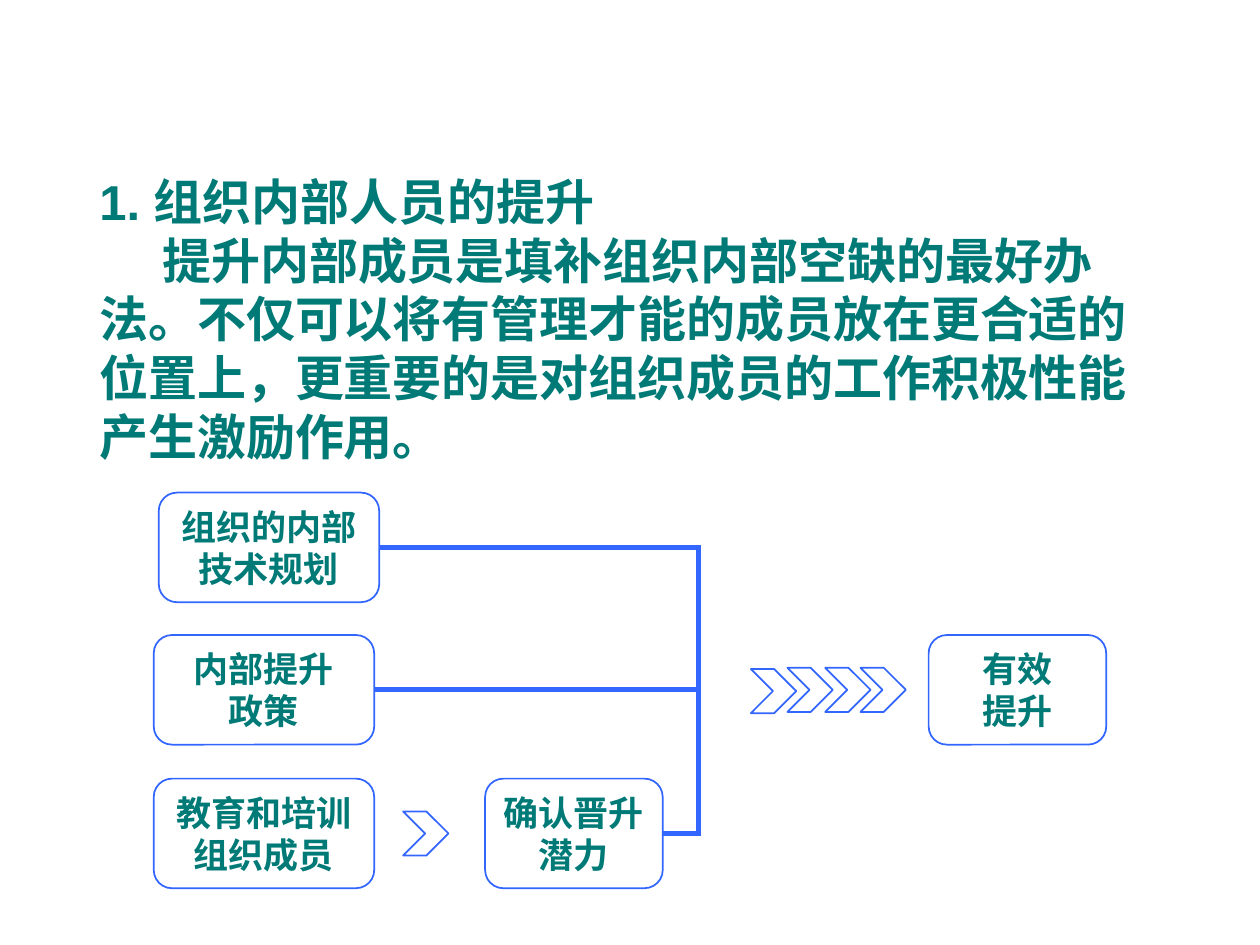
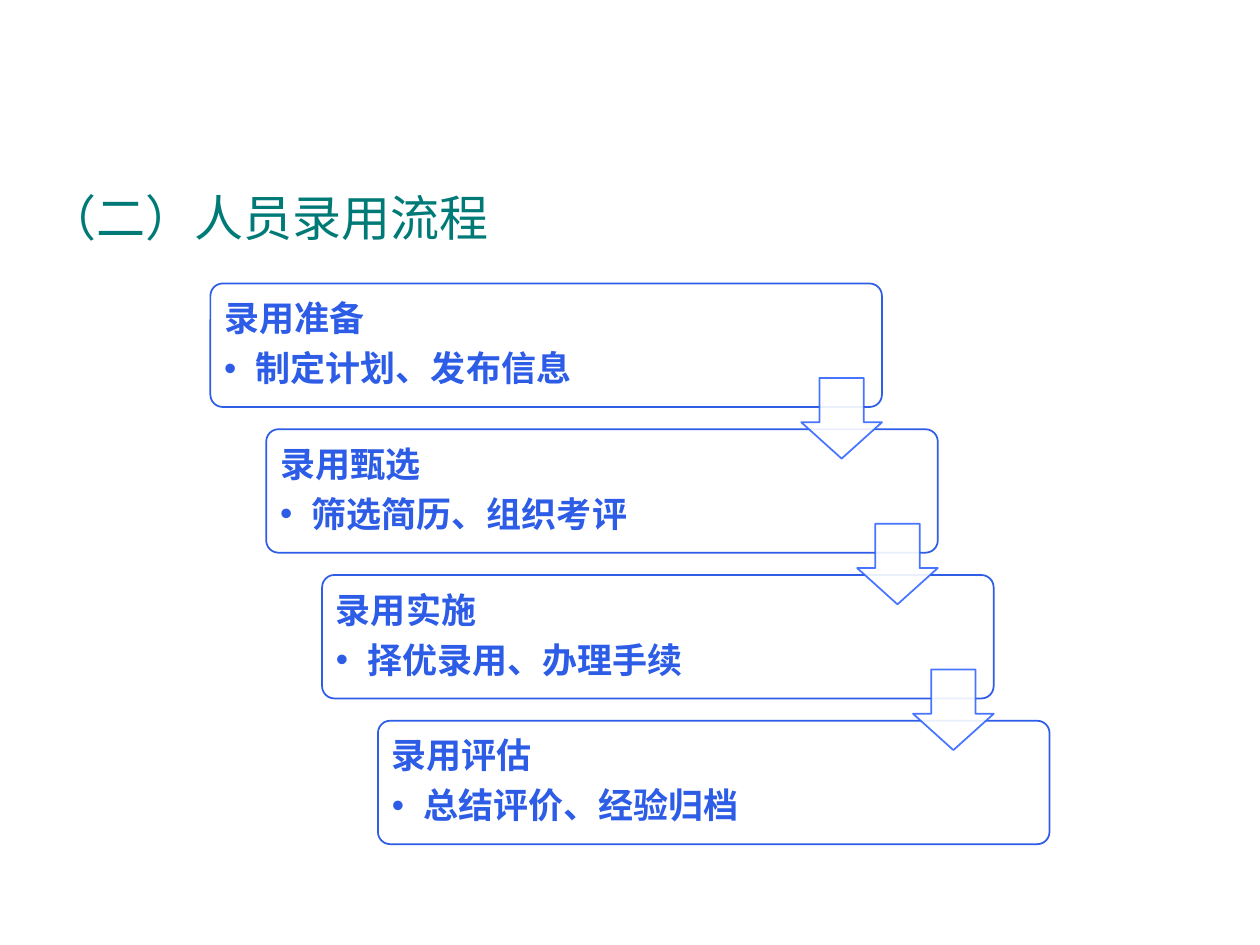
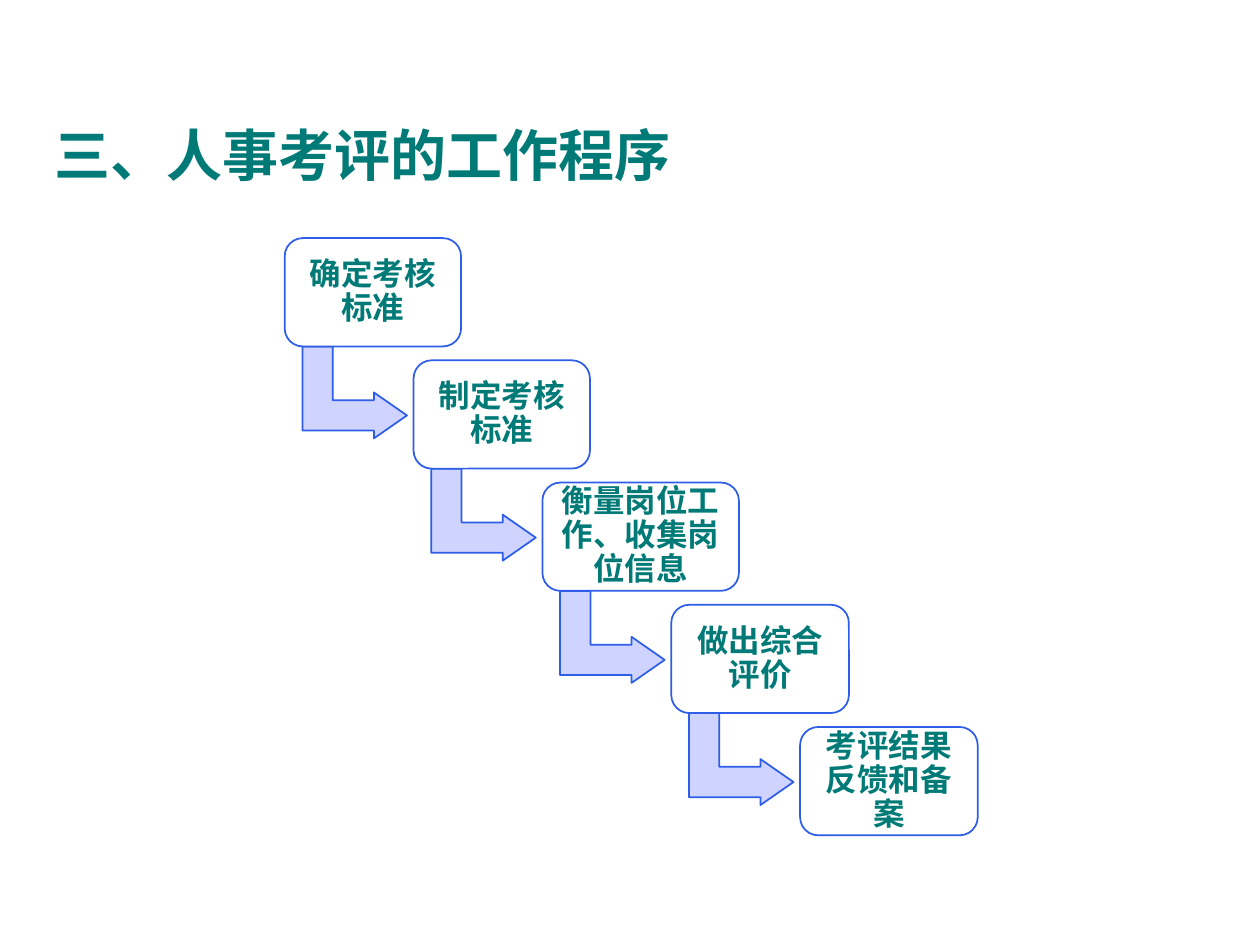
from pptx import Presentation
from pptx.dml.color import RGBColor
from pptx.enum.shapes import MSO_CONNECTOR, MSO_SHAPE
from pptx.enum.text import MSO_ANCHOR, MSO_AUTO_SIZE, PP_ALIGN
from pptx.oxml.ns import qn
from pptx.util import Inches, Pt
from lxml import etree

ROUNDED = MSO_SHAPE.ROUNDED_RECTANGLE
CHEVRON = MSO_SHAPE.CHEVRON
DOWN_ARROW = MSO_SHAPE.DOWN_ARROW
BENT_ARROW = MSO_SHAPE.BENT_UP_ARROW
ELBOW = MSO_CONNECTOR.ELBOW
LEFT, CENTER = PP_ALIGN.LEFT, PP_ALIGN.CENTER
TOP, MIDDLE = MSO_ANCHOR.TOP, MSO_ANCHOR.MIDDLE
RIGHT_SIDE = 3


class Theme:
    teal = RGBColor(0x00, 0x7A, 0x77)
    blue = RGBColor(0x33, 0x66, 0xFF)
    step_line = RGBColor(0x2E, 0x5D, 0xE7)
    step_text = RGBColor(0x2D, 0x5C, 0xE7)
    lavender = RGBColor(0xCE, 0xD3, 0xFF)
    white = RGBColor(0xFF, 0xFF, 0xFF)
    font = "Arial"
    title_font = "Noto Sans CJK SC"
    heading = Pt(32)
    lead = Pt(28)
    box = Pt(20)
    stair = Pt(18)
    outline = Pt(1)
    link = Pt(3)


def add_run(paragraph, text, size, color=Theme.teal, bold=True, font=Theme.font):
    run = paragraph.add_run()
    run.text = text
    run.font.size, run.font.bold, run.font.name = size, bold, font
    run.font.color.rgb = color
    east_asian = etree.SubElement(run.font._element, qn("a:ea"))
    east_asian.set("typeface", font)


def add_block(slide, kind, place, line, fill=Theme.white, lines=(), size=Theme.box):
    block = slide.shapes.add_shape(kind, *[Inches(value) for value in place])
    block.shadow.inherit = False
    block.fill.solid()
    block.fill.fore_color.rgb = fill
    block.line.color.rgb = line
    block.line.width = Theme.outline
    frame = block.text_frame
    frame.word_wrap = True
    frame.vertical_anchor = MIDDLE
    for i, text in enumerate(lines):
        paragraph = frame.add_paragraph() if i else frame.paragraphs[0]
        paragraph.alignment = CENTER
        add_run(paragraph, text, size)
    return block


prs = Presentation()
prs.slide_width, prs.slide_height = Inches(10), Inches(7.5)
title_only, blank = prs.slide_layouts[5], prs.slide_layouts[6]

# Slide 1: promotion from within
promotion = prs.slides.add_slide(blank)
intro = promotion.shapes.add_textbox(Inches(0.69), Inches(1.31), Inches(8.62), Inches(0.94)).text_frame
intro.word_wrap = True
add_run(intro.paragraphs[0], "1. 组织内部人员的提升", Theme.lead)
explanation = intro.add_paragraph()
explanation_format = explanation._p.get_or_add_pPr()
explanation_format.set("indent", str(Inches(0.5)))
explanation_format.set("hangingPunct", "0")
add_run(explanation, "提升内部成员是填补组织内部空缺的最好办法。不仅可以将有管理才能的成员放在更合适的位置上，"
        "更重要的是对组织成员的工作积极性能产生激励作用。", Theme.lead)

# Boxes of the promotion flow
planning, policy, training, potential, outcome = [
    add_block(promotion, ROUNDED, (left, top, width, 0.87), Theme.blue, lines=lines)
    for left, top, width, lines in [
        (1.26, 3.91, 1.75, ["组织的内部技术规划"]),
        (1.22, 5.04, 1.75, ["内部提升", "政策"]),
        (1.22, 6.18, 1.75, ["教育和培训组织成员"]),
        (3.85, 6.18, 1.41, ["确认晋升潜力"]),
        (7.37, 5.04, 1.41, ["有效", "提升"]),
    ]]

# Links that meet to the right of the potential box
for source, bend in [(planning, 112700), (policy, 112400)]:
    link = promotion.shapes.add_connector(ELBOW, 0, 0, 0, 0)
    link.begin_connect(source, RIGHT_SIDE)
    link.end_connect(potential, RIGHT_SIDE)
    link.line.color.rgb = Theme.blue
    link.line.width = Theme.link
    properties = link._element.spPr
    etree.SubElement(properties.find(qn("a:ln")), qn("a:miter"), lim="800000")
    etree.SubElement(properties, qn("a:effectLst"))
    guides = properties.find(qn("a:prstGeom")).get_or_add_avLst()
    etree.SubElement(guides, qn("a:gd"), name="adj1", fmla=f"val {bend}")

# Chevrons
for left, top in [(3.2, 6.44), (5.96, 5.31), (6.25, 5.3), (6.55, 5.3), (6.83, 5.3)]:
    add_block(promotion, CHEVRON, (left, top, 0.36, 0.35), Theme.blue)

# Titles of slides 2 and 3
hiring, appraisal = [prs.slides.add_slide(title_only) for _ in range(2)]
for slide, text, place, anchor, size, bold, font in [
    (hiring, "（二）人员录用流程", (0.28, 1.3, 9.37, 0.85), MIDDLE, Theme.lead, False, Theme.title_font),
    (appraisal, "三、人事考评的工作程序", (0.33, 0.91, 9.34, 4.59), TOP, Theme.heading, True, Theme.font),
]:
    title = slide.shapes.title
    title.left, title.top, title.width, title.height = [Inches(value) for value in place]
    title.text_frame.auto_size = MSO_AUTO_SIZE.NONE
    title.text_frame.vertical_anchor = anchor
    heading = title.text_frame.paragraphs[0]
    heading.alignment = LEFT
    add_run(heading, text, size, bold=bold, font=font)

# Slide 2: hiring steps
hiring_steps = [
    ("录用准备", "制定计划、发布信息"),
    ("录用甄选", "筛选简历、组织考评"),
    ("录用实施", "择优录用、办理手续"),
    ("录用评估", "总结评价、经验归档"),
]
step_gaps = len(hiring_steps) - 1
step_right, step_down = 1.33 / step_gaps, 3.47 / step_gaps
for i, (step, tasks) in enumerate(hiring_steps):
    left, top = 1.67 + step_right * i, 2.25 + step_down * i
    card = add_block(hiring, ROUNDED, (left, top, 5.33, 0.98), Theme.step_line)
    card.adjustments[0] = 0.1
    label = hiring.shapes.add_textbox(Inches(left + 0.03), Inches(top + 0.03), Inches(4.2), Inches(0.92))
    frame = label.text_frame
    frame.word_wrap = True
    frame.vertical_anchor = MIDDLE
    frame.margin_left = frame.margin_right = frame.margin_top = frame.margin_bottom = Inches(0.08)
    name_line, task_line = frame.paragraphs[0], frame.add_paragraph()
    for paragraph, text, gap in [(name_line, step, 7), (task_line, tasks, 3)]:
        paragraph.line_spacing = 0.9
        paragraph.space_after = Pt(gap)
        add_run(paragraph, text, Theme.box, Theme.step_text)
    bullet = task_line._p.get_or_add_pPr()
    bullet.set("marL", str(Inches(0.25)))
    bullet.set("indent", str(-Inches(0.25)))
    etree.SubElement(bullet, qn("a:buFont"), typeface=Theme.font)
    etree.SubElement(bullet, qn("a:buChar"), char="•")

# Translucent arrows from step to step
for i in range(step_gaps):
    arrow = add_block(hiring, DOWN_ARROW, (6.36 + step_right * i, 3 + step_down * i, 0.64, 0.64), Theme.blue)
    arrow.adjustments[0], arrow.adjustments[1] = 0.55, 0.45
    for color in arrow._element.spPr.iter(qn("a:srgbClr")):
        etree.SubElement(color, qn("a:alpha"), val="90000")

# Slide 3: appraisal staircase
stages = [
    ("确定考核标准", 1.4),
    ("制定考核标准", 1.4),
    ("衡量岗位工作、收集岗位信息", 1.56),
    ("做出综合评价", 1.41),
    ("考评结果反馈和备案", 1.41),
]
stage_gaps = len(stages) - 1
stair_right, stair_down = 4.09 / stage_gaps, 3.88 / stage_gaps
for i, (stage, width) in enumerate(stages):
    left, top = 2.26 + stair_right * i, 1.89 + stair_down * i
    if i < stage_gaps:
        turn = add_block(appraisal, BENT_ARROW, (left + 0.19, top + 0.81, 0.73, 0.83),
                         Theme.step_line, Theme.lavender)
        turn.rotation = 90
        for k, ratio in enumerate((0.33, 0.25, 0.36)):
            turn.adjustments[k] = ratio
    stair = add_block(appraisal, ROUNDED, (left, top, width, 0.86), Theme.step_line,
                      lines=[stage], size=Theme.stair)
    frame = stair.text_frame
    frame.margin_left = frame.margin_right = frame.margin_top = frame.margin_bottom = Inches(0.08)
    frame.paragraphs[0].line_spacing = 0.9

prs.save("out.pptx")
